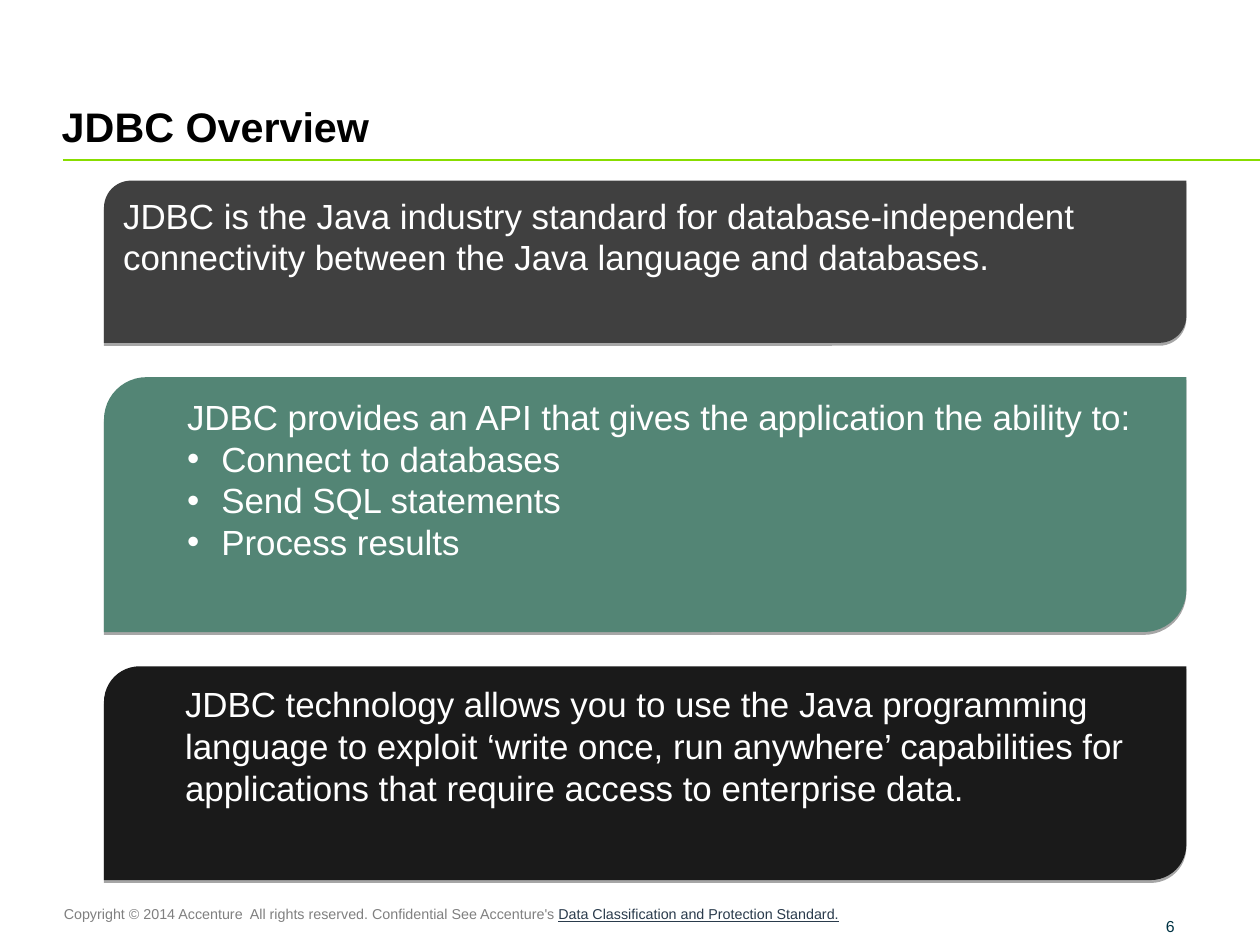
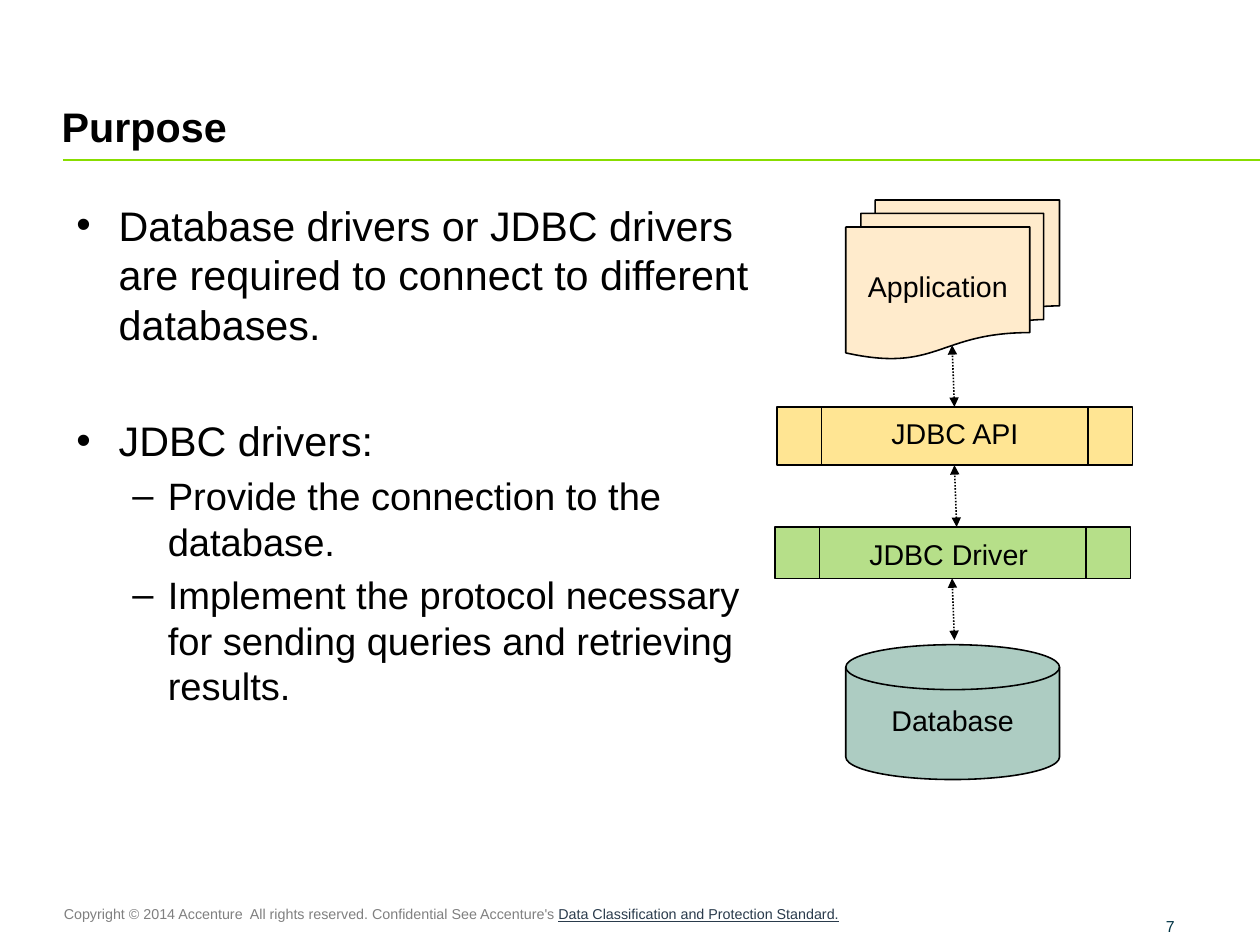
from lxml import etree
from pptx import Presentation
from pptx.dml.color import RGBColor
from pptx.enum import dml, shapes, text
from pptx.oxml.ns import qn
from pptx.util import Cm, Inches, Pt

BLACK = RGBColor(0x00, 0x00, 0x00)
WHITE = RGBColor(0xFF, 0xFF, 0xFF)
GREY = RGBColor(0x80, 0x80, 0x80)
NAVY = RGBColor(0x2A, 0x3B, 0x4C)
PETROL = RGBColor(0x00, 0x33, 0x44)
LIME = RGBColor(0x88, 0xDD, 0x00)
CHARCOAL = RGBColor(0x40, 0x40, 0x40)
GREEN = RGBColor(0x53, 0x85, 0x75)
NEAR_BLACK = RGBColor(0x1A, 0x1A, 0x1A)
PEACH = RGBColor(0xFF, 0xEB, 0xCC)
YELLOW = RGBColor(0xFF, 0xE5, 0x93)
LIGHT_GREEN = RGBColor(0xB6, 0xDF, 0x89)
SAGE = RGBColor(0xAD, 0xCC, 0xC2)

TOP, MIDDLE, BOTTOM = (text.MSO_ANCHOR.TOP, text.MSO_ANCHOR.MIDDLE,
                       text.MSO_ANCHOR.BOTTOM)
LEFT, CENTER = text.PP_ALIGN.LEFT, text.PP_ALIGN.CENTER

# size, colour, left indent, hanging indent, bullet
STYLES = {
    "title": (26, BLACK, 0, 0, None),
    "footer": (9, GREY, 0, 0, None),
    "number": (10, PETROL, 0, 0, None),
    "band": (22, WHITE, 0, 0, None),
    "band indented": (22, WHITE, 0.52, 0, None),
    "band bullet": (22, WHITE, 0.82, 0.3, "•"),
    "bullet": (26, BLACK, 0.38, 0.37, "•"),
    "dash": (24, BLACK, 0.81, 0.31, "–"),
    "node": (18, BLACK, 0, 0, None),
}


def write_text(shape, lines, anchor=TOP, align=LEFT, wrap=True,
               margins=(0.1, 0.05, 0.1, 0.05)):
    """Fill a shape with (style, wording, space before) lines."""
    frame = shape.text_frame
    frame.text = "\n".join(wording for _, wording, _ in lines)
    frame.word_wrap = wrap
    frame.vertical_anchor = anchor
    (frame.margin_left, frame.margin_top,
     frame.margin_right, frame.margin_bottom) = map(Inches, margins)
    for paragraph, (style, _, space) in zip(frame.paragraphs, lines):
        size, color, left, hang, bullet = STYLES[style]
        paragraph.alignment = align
        properties = paragraph._p.get_or_add_pPr()
        properties.set("marL", str(Inches(left)))
        properties.set("indent", str(Inches(-hang)))
        if bullet:
            etree.SubElement(properties, qn("a:buFont"), typeface="Arial")
            etree.SubElement(properties, qn("a:buChar"), char=bullet)
        if space:
            paragraph.space_before = Pt(space)
        for run in paragraph.runs:
            run.font.name = "Arial"
            run.font.size = Pt(size)
            run.font.color.rgb = color
    return frame


def add_page(title, number):
    """Add a slide with the title, rule and footer all slides share."""
    slide = prs.slides.add_slide(prs.slide_layouts[6])
    rule = slide.shapes.add_connector(
        shapes.MSO_CONNECTOR.STRAIGHT,
        Inches(0.55), Inches(1.4), prs.slide_width, Inches(1.4))
    rule.line.color.rgb = LIME
    rule.line.width = Pt(1)
    etree.SubElement(rule._element.spPr, qn("a:effectLst"))

    footer = slide.shapes.add_textbox(
        Inches(0.46), Inches(7.87), Inches(10.06), Inches(0.25))
    copyright_line = write_text(footer, [(
        "footer", "Copyright © 2014 Accenture  All rights reserved. "
        "Confidential See Accenture's ", 0)]).paragraphs[0]
    standard = copyright_line.add_run()
    standard.text = "Data Classification and Protection Standard."
    standard.font.name = "Arial"
    standard.font.size = Pt(9)
    standard.font.color.rgb = NAVY
    standard.font.underline = True

    heading = slide.shapes.add_textbox(
        Inches(0.54), Inches(0.37), Inches(10.48), Inches(0.95))
    frame = write_text(heading, [("title", title, 0)], BOTTOM,
                       margins=(0, 0.05, 0.1, 0))
    frame.paragraphs[0].runs[0].font.bold = True

    page_number = slide.shapes.add_textbox(
        Inches(10.2), Inches(7.88), Inches(0.77), Inches(0.31))
    write_text(page_number, [("number", str(number), 0)], BOTTOM,
               margins=(0, 0, 0, 0))
    return slide


prs = Presentation()
prs.slide_width, prs.slide_height = Cm(28), Cm(21)

# JDBC Overview: three stacked bands
overview = add_page("JDBC Overview", 6)
bands = [
    (1.42, CHARCOAL, [
        ("band", "JDBC is the Java industry standard for database-independent "
                 "connectivity between the Java language and databases.", 0)]),
    (2.23, GREEN, [
        ("band indented", "JDBC provides an API that gives the application "
                          "the ability to:", 0),
        ("band bullet", "Connect to databases", 0),
        ("band bullet", "Send SQL statements", 0),
        ("band bullet", "Process results", 0)]),
    (1.87, NEAR_BLACK, [
        ("band indented", "JDBC technology allows you to use the Java "
                          "programming language to exploit ‘write once, run "
                          "anywhere’ capabilities for applications that "
                          "require access to enterprise data.", 0)]),
]
band_top, band_gap = 1.58, 0.3
for height, color, lines in bands:
    band = overview.shapes.add_shape(
        shapes.MSO_SHAPE.ROUND_2_DIAG_RECTANGLE,
        Inches(0.91), Inches(band_top), Inches(9.47), Inches(height))
    band.fill.solid()
    band.fill.fore_color.rgb = color
    band.line.fill.background()
    band.shadow.inherit = False
    effects = band._element.spPr.find(qn("a:effectLst"))
    shadow = etree.SubElement(effects, qn("a:outerShdw"), blurRad="0",
                              dist=str(Pt(1.8)), dir="5400000",
                              rotWithShape="0")
    shade = etree.SubElement(shadow, qn("a:srgbClr"), val="000000")
    etree.SubElement(shade, qn("a:alpha"), val="35000")
    write_text(band, lines)
    band_top += height + band_gap

# Purpose: bullets beside the connection diagram
purpose = add_page("Purpose", 7)
body = purpose.shapes.add_textbox(
    Inches(0.56), Inches(1.7), Inches(6.44), Inches(6.06))
write_text(body, [
    ("bullet", "Database drivers or JDBC drivers are required to connect to "
               "different databases.", 0),
    ("bullet", "JDBC drivers:", 42),
    ("dash", "Provide the connection to the database.", 4.8),
    ("dash", "Implement the protocol necessary for sending queries and "
             "retrieving results.", 4.8),
])

MULTIDOCUMENT = shapes.MSO_SHAPE.FLOWCHART_MULTIDOCUMENT
PROCESS = shapes.MSO_SHAPE.FLOWCHART_PREDEFINED_PROCESS
DISK = shapes.MSO_SHAPE.FLOWCHART_MAGNETIC_DISK
nodes = [
    ("Application", MULTIDOCUMENT, PEACH, 7.4, 1.75, 1.87, 1.39, 0.05),
    ("JDBC API", PROCESS, YELLOW, 6.8, 3.56, 3.11, 0.51, 0.05),
    ("JDBC Driver ", PROCESS, LIGHT_GREEN, 6.78, 4.61, 3.11, 0.45, 0.14),
    ("Database", DISK, SAGE, 7.4, 5.64, 1.87, 1.18, 0.05),
]
for label, outline, color, left, top, width, height, margin_top in nodes:
    node = purpose.shapes.add_shape(
        outline, Inches(left), Inches(top), Inches(width), Inches(height))
    node.fill.solid()
    node.fill.fore_color.rgb = color
    node.line.color.rgb = BLACK
    node.line.width = Pt(1)
    node.shadow.inherit = False
    write_text(node, [("node", label, 0)], MIDDLE, CENTER, wrap=False,
               margins=(0.1, margin_top, 0.1, 0.11))

for x, top in [(8.33, 3.02), (8.35, 4.07), (8.33, 5.06)]:
    arrow = purpose.shapes.add_connector(
        shapes.MSO_CONNECTOR.STRAIGHT,
        Inches(x + 0.02), Inches(top + 0.54), Inches(x), Inches(top))
    arrow.line.color.rgb = BLACK
    arrow.line.width = Pt(1)
    arrow.line.dash_style = dml.MSO_LINE.ROUND_DOT
    stroke = arrow.line._get_or_add_ln()
    for end in ("a:headEnd", "a:tailEnd"):
        etree.SubElement(stroke, qn(end), type="triangle")
    etree.SubElement(arrow._element.spPr, qn("a:effectLst"))

prs.save("out.pptx")
